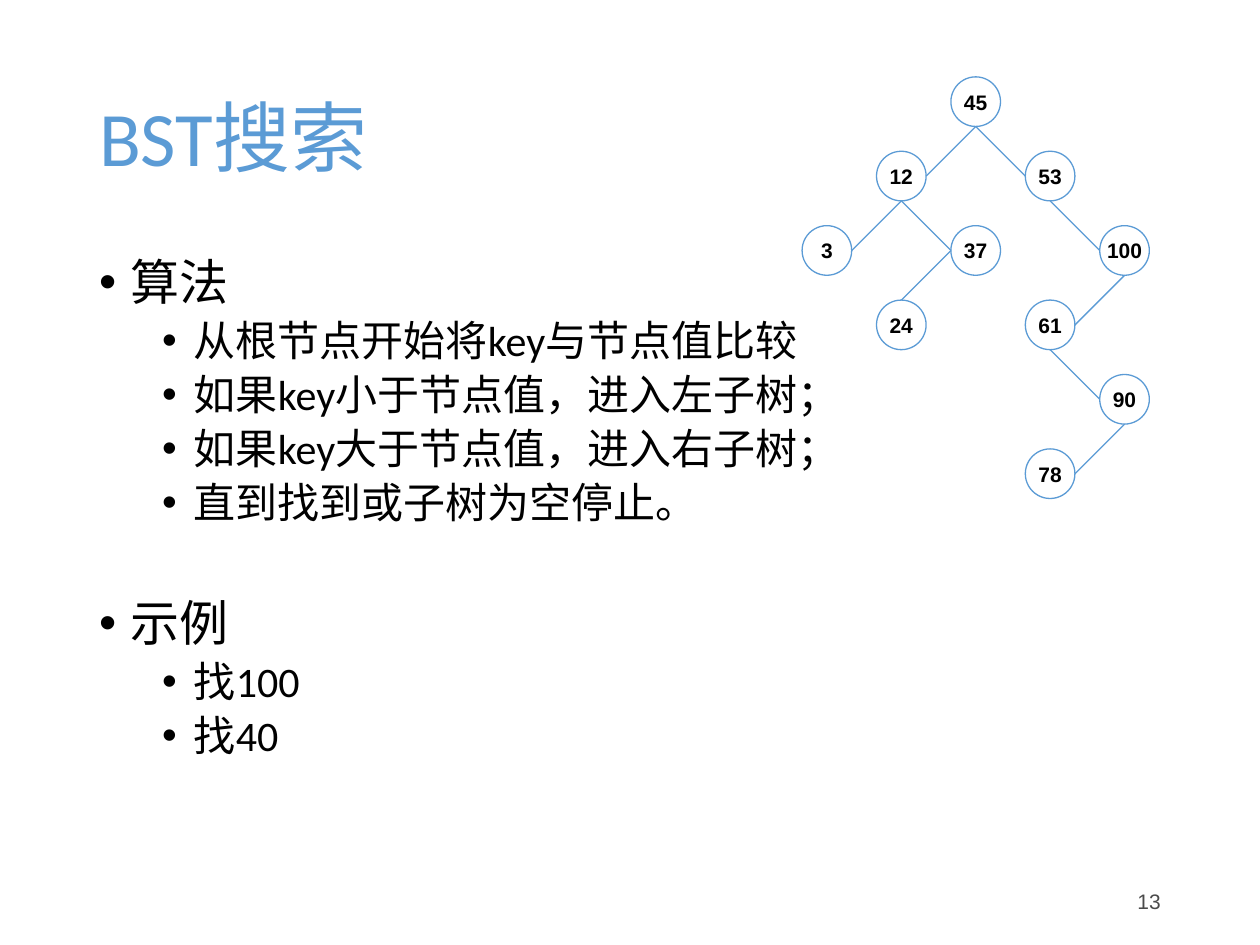
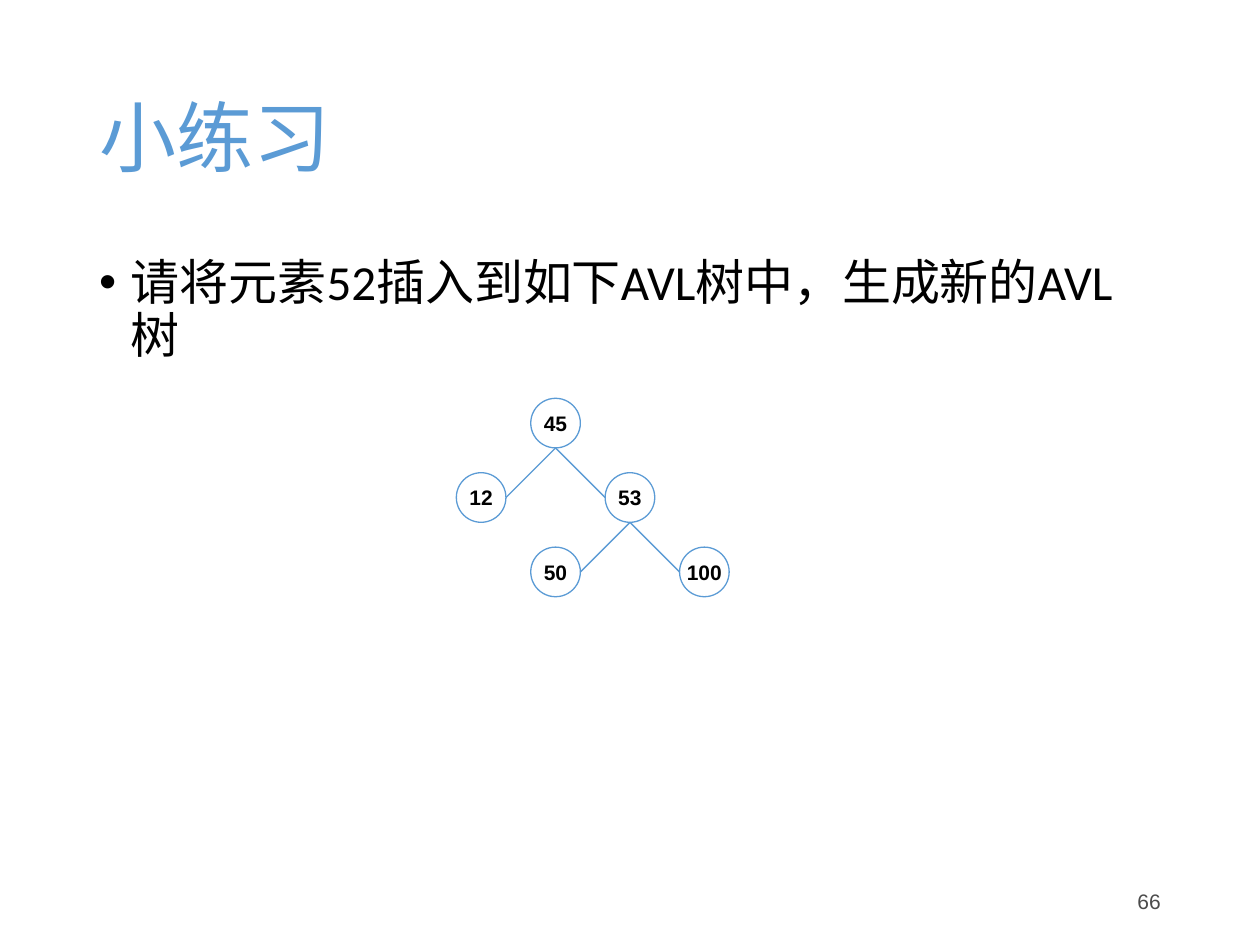
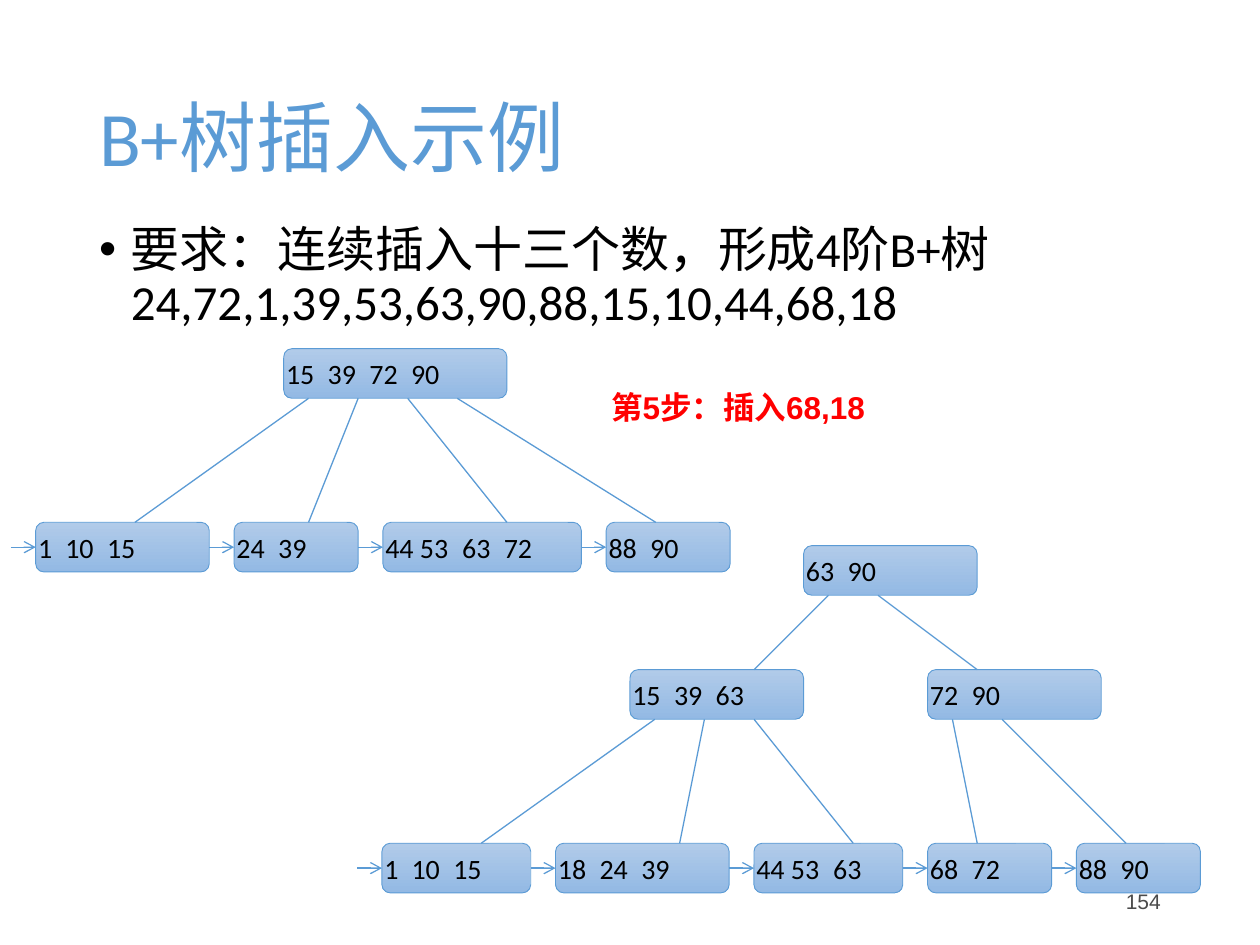
from dataclasses import dataclass

import lxml.etree
import pptx
import pptx.dml.color
import pptx.enum.shapes
import pptx.enum.text
import pptx.oxml.ns
import pptx.util

Cm = pptx.util.Cm
Pt = pptx.util.Pt
qn = pptx.oxml.ns.qn
ANCHOR = pptx.enum.text.MSO_ANCHOR
ALIGN = pptx.enum.text.PP_ALIGN
SHAPE = pptx.enum.shapes.MSO_SHAPE


@dataclass(frozen=True)
class Theme:
    accent: str = "5B9BD5"
    text: str = "000000"
    number: str = "4B4B4B"
    step: str = "FF0000"
    node_top: str = "B1CBE9"
    node_bottom: str = "93B9E4"
    heading_font: str = "Calibri"
    label_font: str = "Arial"
    title_size: int = 44
    body_sizes: tuple = (28, 24)
    step_size: int = 18
    index_size: int = 16
    label_size: int = 12


@dataclass(frozen=True)
class Box:
    left: float
    top: float
    width: float
    height: float

    def lengths(self):
        return Cm(self.left), Cm(self.top), Cm(self.width), Cm(self.height)


@dataclass(frozen=True)
class IndexNode:
    keys: str  # tabs part the keys
    width: float
    entry: float = 0  # where the parent's line meets the top edge


@dataclass(frozen=True)
class Level:
    left: float
    top: float
    gap: float
    nodes: tuple


THEME = Theme()
TITLE_BOX = Box(1.75, 1.02, 21.9, 3.68)
BODY_BOX = Box(1.75, 5.08, 21.9, 12.09)
HIGH_BODY_BOX = Box(1.75, 4.42, 21.9, 12.09)
NUMBER_BOX = Box(17.93, 17.65, 5.72, 1.02)
NODE_SIZE = 1
TREE_STEP = 1.5
LEAF_GAP = 0.5
KEY_PITCH = 1
DIGIT_WIDTH, SPACE_WIDTH = 0.29, 0.13


# Shared helpers
def rgb(value):
    return pptx.dml.color.RGBColor.from_string(value)


def set_font(paragraph, name, size, color, bold=False):
    font = paragraph.font
    font.name, font.size, font.bold = name, Pt(size), bold
    font.color.rgb = rgb(color)


def add_text(slide, box, text, font, size, color, bold=False,
             anchor=ANCHOR.TOP, align=ALIGN.LEFT):
    frame = slide.shapes.add_textbox(*box.lengths()).text_frame
    frame.word_wrap = True
    frame.vertical_anchor = anchor
    paragraph = frame.paragraphs[0]
    paragraph.text = text
    paragraph.alignment = align
    set_font(paragraph, font, size, color, bold)
    return paragraph


def add_line(slide, start, end, arrow=False):
    connector = slide.shapes.add_connector(
        pptx.enum.shapes.MSO_CONNECTOR.STRAIGHT, *map(Cm, (*start, *end)))
    connector.line.color.rgb = rgb(THEME.accent)
    connector.line.width = Pt(0.75)
    properties = connector._element.spPr
    if arrow:
        lxml.etree.SubElement(properties.find(qn("a:ln")), qn("a:tailEnd"), type="arrow")
    lxml.etree.SubElement(properties, qn("a:effectLst"))
    return connector


# Title and slide number
def add_frame(presentation, title, number):
    slide = presentation.slides.add_slide(presentation.slide_layouts[6])
    heading = add_text(slide, TITLE_BOX, title, THEME.heading_font, THEME.title_size,
                       THEME.accent, anchor=ANCHOR.MIDDLE)
    heading.line_spacing = 0.9
    add_text(slide, NUMBER_BOX, str(number), THEME.label_font, THEME.label_size,
             THEME.number, anchor=ANCHOR.MIDDLE, align=ALIGN.RIGHT)
    return slide


# Bulleted body: items are (level, text)
def add_body(slide, box, items, section_space=10):
    frame = slide.shapes.add_textbox(*box.lengths()).text_frame
    frame.word_wrap = True
    for index, (level, text) in enumerate(items):
        paragraph = frame.add_paragraph() if index else frame.paragraphs[0]
        paragraph.text = text
        paragraph.level = level
        properties = paragraph._p.get_or_add_pPr()
        properties.set("marL", str(Cm(0.64 + 1.27 * level)))
        properties.set("indent", str(-Cm(0.64)))
        lxml.etree.SubElement(properties, qn("a:buFont"), typeface="Arial")
        lxml.etree.SubElement(properties, qn("a:buChar"), char="•")
        paragraph.line_spacing = 0.9
        if index:
            paragraph.space_before = Pt(5 if level else section_space)
        set_font(paragraph, THEME.heading_font, THEME.body_sizes[level], THEME.text)


# Binary tree: a tree is (key, left subtree, right subtree), box holds the root
def add_binary_tree(slide, box, tree, entered_at_top=()):
    key, *children = tree
    circle = slide.shapes.add_shape(SHAPE.OVAL, *box.lengths())
    circle.shadow.inherit = False
    circle.fill.background()
    circle.line.color.rgb = rgb(THEME.accent)
    circle.line.width = Pt(0.75)
    frame = circle.text_frame
    frame.word_wrap = False
    frame.margin_left = frame.margin_right = frame.margin_top = frame.margin_bottom = 0
    frame.vertical_anchor = ANCHOR.MIDDLE
    paragraph = frame.paragraphs[0]
    paragraph.text = str(key)
    paragraph.alignment = ALIGN.CENTER
    set_font(paragraph, THEME.label_font, THEME.label_size, THEME.text, bold=True)

    radius = box.width / 2
    x, y = box.left + radius, box.top + radius
    for side, child in zip((-1, 1), children):
        if not child:
            continue
        child_x, child_y = x + side * TREE_STEP, y + TREE_STEP
        if child[0] in entered_at_top:
            add_line(slide, (x + side * radius, y), (child_x, child_y - radius))
        else:
            add_line(slide, (x, y + radius), (child_x - side * radius, child_y))
        child_box = Box(child_x - radius, child_y - radius, box.width, box.height)
        add_binary_tree(slide, child_box, child, entered_at_top)


# One box of keys in a B+ tree
def add_index_node(slide, box, keys):
    shape = slide.shapes.add_shape(SHAPE.ROUNDED_RECTANGLE, *box.lengths())
    shape.shadow.inherit = False
    shape.fill.gradient()
    shape.fill.gradient_angle = 270
    for stop, color in zip(shape.fill.gradient_stops, (THEME.node_top, THEME.node_bottom)):
        stop.color.rgb = rgb(color)
    shape.line.color.rgb = rgb(THEME.accent)
    shape.line.width = Pt(0.5)
    frame = shape.text_frame
    frame.word_wrap = True
    frame.margin_left = frame.margin_top = frame.margin_bottom = 0
    frame.margin_right = Cm(0.5)
    frame.vertical_anchor = ANCHOR.MIDDLE
    paragraph = frame.paragraphs[0]
    paragraph.text = keys
    paragraph.alignment = ALIGN.LEFT
    tabs = lxml.etree.SubElement(paragraph._p.get_or_add_pPr(), qn("a:tabLst"))
    position = 0
    for part in keys.split("\t")[:-1]:
        position += sum(SPACE_WIDTH if sign == " " else DIGIT_WIDTH for sign in part)
        position += 2 * SPACE_WIDTH
        lxml.etree.SubElement(tabs, qn("a:tab"), pos=str(Cm(position)), algn="l")
    set_font(paragraph, THEME.heading_font, THEME.index_size, THEME.text)
    return shape


# B+ tree: each key of a node leads to the next node of the level below
def add_index_tree(slide, left, top, levels):
    parent_exits = iter(())
    for level in levels:
        x, y = left + level.left, top + level.top
        exits, shapes = [], []
        for node in level.nodes:
            shapes.append(add_index_node(slide, Box(x, y, node.width, NODE_SIZE), node.keys))
            if level is not levels[0]:
                add_line(slide, next(parent_exits), (x + node.entry, y))
            exits += [(x + 0.5 + KEY_PITCH * key, y + NODE_SIZE)
                      for key in range(len(node.keys.split()))]
            x += node.width + level.gap
        parent_exits = iter(exits)

    # Chain of leaves
    start_x, middle = left + levels[-1].left, y + NODE_SIZE / 2
    previous = None
    for shape in shapes:
        arrow = add_line(slide, (start_x - LEAF_GAP, middle), (start_x, middle), arrow=True)
        if previous:
            arrow.begin_connect(previous, 3)
        arrow.end_connect(shape, 1)
        previous = shape


def build_search_slide(presentation):
    slide = add_frame(presentation, "BST搜索", 13)
    add_body(slide, BODY_BOX, [
        (0, "算法"),
        (1, "从根节点开始将key与节点值比较"),
        (1, "如果key小于节点值，进入左子树；"),
        (1, "如果key大于节点值，进入右子树；"),
        (1, "直到找到或子树为空停止。"),
        (0, "示例"),
        (1, "找100"),
        (1, "找40"),
    ], section_space=41)
    left_subtree = (12, (3,), (37, (24,)))
    right_subtree = (53, None, (100, (61, None, (90, (78,)))))
    add_binary_tree(slide, Box(19.17, 1.55, NODE_SIZE, NODE_SIZE),
                    (45, left_subtree, right_subtree), entered_at_top=(24,))


def build_exercise_slide(presentation):
    slide = add_frame(presentation, "小练习", 66)
    add_body(slide, BODY_BOX, [(0, "请将元素52插入到如下AVL树中，生成新的AVL树")])
    add_binary_tree(slide, Box(10.7, 8.03, NODE_SIZE, NODE_SIZE),
                    (45, (12,), (53, (50,), (100,))))


def build_insertion_slide(presentation):
    slide = add_frame(presentation, "B+树插入示例", 154)
    add_body(slide, HIGH_BODY_BOX, [
        (0, "要求：连续插入十三个数，形成4阶B+树24,72,1,39,53,63,90,88,15,10,44,68,18")])
    add_text(slide, Box(12.07, 7.7, 9.47, 1.02), "第5步：插入68,18",
             THEME.label_font, THEME.step_size, THEME.step, bold=True)
    # Before the step
    add_index_tree(slide, 0.72, 7.03, [
        Level(5, 0, 0, (IndexNode("15\t39\t72\t90", 4.5),)),
        Level(0, 3.5, LEAF_GAP, (
            IndexNode("1\t10\t15", 3.5, 2),
            IndexNode("24\t39", 2.5, 1.5),
            IndexNode("44 53\t63\t72", 4, 2.5),
            IndexNode("88\t90", 2.5, 1))),
    ])
    # After the step
    add_index_tree(slide, 7.7, 11, [
        Level(8.5, 0, 0, (IndexNode("63\t90", 3.5),)),
        Level(5, 2.5, 2.5, (
            IndexNode("15\t39\t63", 3.5, 2.5),
            IndexNode("72\t90", 3.5, 1))),
        Level(0, 6, LEAF_GAP, (
            IndexNode("1\t10\t15", 3, 2),
            IndexNode("18\t24\t39", 3.5, 2.5),
            IndexNode("44 53\t63", 3, 2),
            IndexNode("68\t72", 2.5, 1),
            IndexNode("88\t90", 2.5, 1))),
    ])


def main():
    presentation = pptx.Presentation()
    presentation.slide_width, presentation.slide_height = Cm(25.4), Cm(19.05)
    build_search_slide(presentation)
    build_exercise_slide(presentation)
    build_insertion_slide(presentation)
    presentation.save("out.pptx")


if __name__ == "__main__":
    main()
